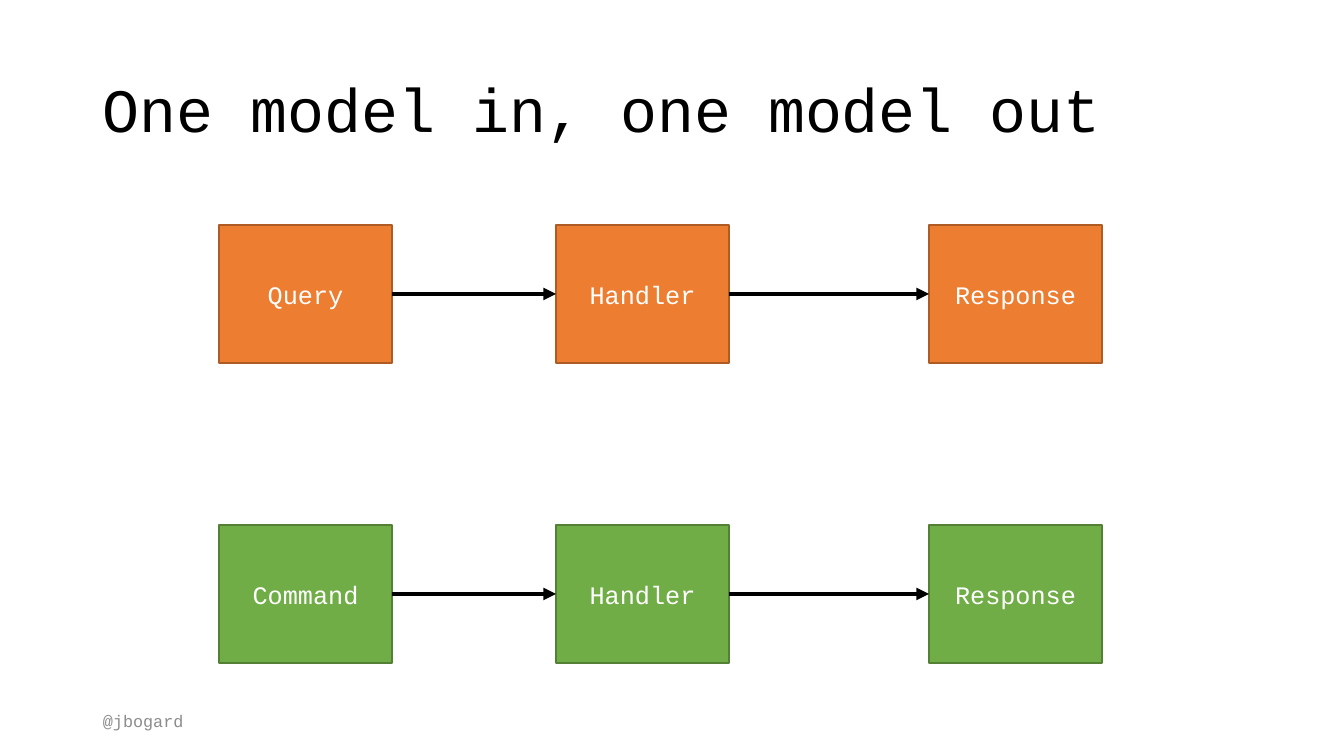
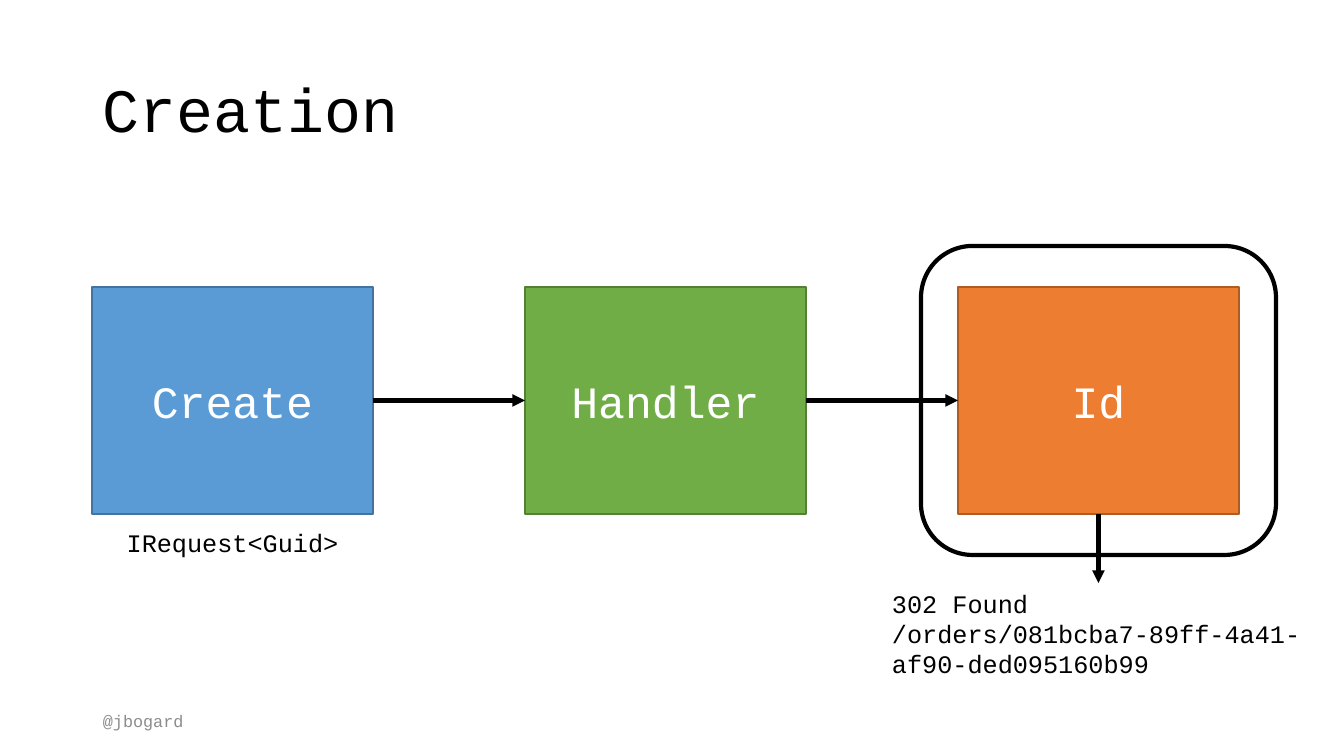
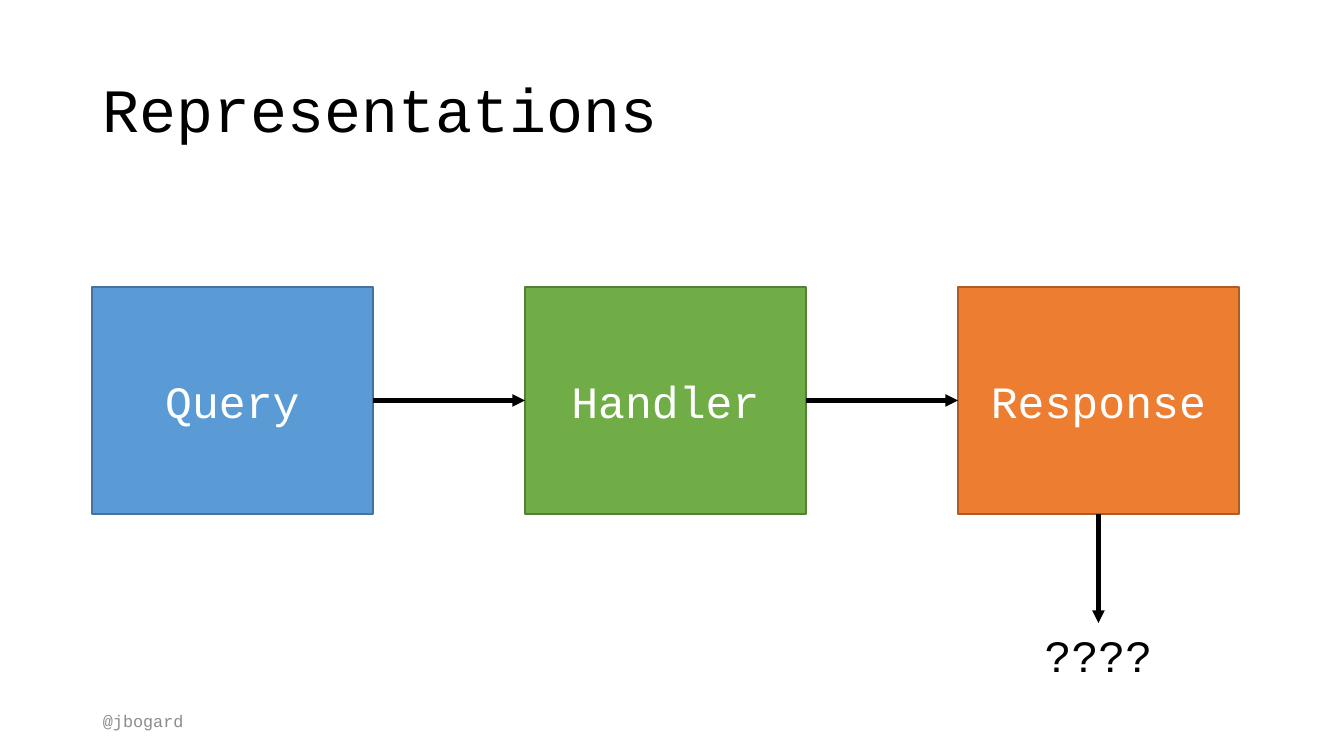
from itertools import pairwise

from lxml import etree
from pptx import Presentation
from pptx.dml.color import RGBColor
from pptx.enum.shapes import MSO_CONNECTOR, MSO_SHAPE
from pptx.enum.text import MSO_ANCHOR, MSO_AUTO_SIZE, PP_ALIGN
from pptx.oxml.ns import qn
from pptx.util import Emu, Pt

RECTANGLE = MSO_SHAPE.RECTANGLE
ROUNDED = MSO_SHAPE.ROUNDED_RECTANGLE
STRAIGHT = MSO_CONNECTOR.STRAIGHT
MIDDLE, TOP_ANCHOR = MSO_ANCHOR.MIDDLE, MSO_ANCHOR.TOP
LEFT_ALIGN, CENTER = PP_ALIGN.LEFT, PP_ALIGN.CENTER
GROW, FIXED = MSO_AUTO_SIZE.SHAPE_TO_FIT_TEXT, MSO_AUTO_SIZE.NONE
TOP, LEFT, BOTTOM, RIGHT = range(4)

BLACK = RGBColor(0x00, 0x00, 0x00)
WHITE = RGBColor(0xFF, 0xFF, 0xFF)
GRAY = RGBColor(0x8C, 0x8C, 0x8C)
ORANGE = RGBColor(0xED, 0x7D, 0x31)
ORANGE_EDGE = RGBColor(0xAF, 0x5C, 0x24)
GREEN = RGBColor(0x70, 0xAD, 0x47)
GREEN_EDGE = RGBColor(0x53, 0x80, 0x35)
BLUE = RGBColor(0x5B, 0x9B, 0xD5)
BLUE_EDGE = RGBColor(0x43, 0x73, 0x9E)
EDGES = {ORANGE: ORANGE_EDGE, GREEN: GREEN_EDGE, BLUE: BLUE_EDGE}

SLIDE_WIDTH, SLIDE_HEIGHT = 1344, 756
SCALE = 12192000 / SLIDE_WIDTH
FONT = "Courier New"
FOOTER = "@jbogard"


def px(*lengths):
    return [Emu(round(length * SCALE)) for length in lengths]


class Deck:
    def __init__(self):
        self.presentation = Presentation()
        width, height = px(SLIDE_WIDTH, SLIDE_HEIGHT)
        self.presentation.slide_width = width
        self.presentation.slide_height = height
        self.slide = None

    def start_slide(self, title):
        self.slide = self.presentation.slides.add_slide(
            self.presentation.slide_layouts[6])
        self.label(93, 40, 1159, 146, [title], 44, spacing=0.9, anchor=MIDDLE)
        self.label(93, 701, 302, 40, [FOOTER], 12, GRAY, anchor=MIDDLE)

    def fill_text(self, shape, lines, size, color, align, anchor, spacing=None):
        frame = shape.text_frame
        frame.word_wrap = True
        frame.vertical_anchor = anchor
        frame.text = "\n".join(lines)
        for paragraph in frame.paragraphs:
            paragraph.alignment = align
            paragraph.line_spacing = spacing
            for name, value in {"name": FONT, "size": Pt(size)}.items():
                setattr(paragraph.font, name, value)
            paragraph.font.color.rgb = color

    def label(self, left, top, width, height, lines, size, color=BLACK,
              align=LEFT_ALIGN, anchor=TOP_ANCHOR, spacing=None, fit=FIXED):
        shape = self.slide.shapes.add_textbox(*px(left, top, width, height))
        self.fill_text(shape, lines, size, color, align, anchor, spacing)
        shape.text_frame.auto_size = fit
        return shape

    def box(self, left, top, width, height, text, size, fill):
        shape = self.slide.shapes.add_shape(
            RECTANGLE, *px(left, top, width, height))
        shape.shadow.inherit = False
        shape.fill.solid()
        shape.fill.fore_color.rgb = fill
        self.outline(shape, EDGES[fill], 1)
        self.fill_text(shape, [text], size, WHITE, CENTER, MIDDLE)
        return shape

    def frame(self, left, top, width, height):
        shape = self.slide.shapes.add_shape(
            ROUNDED, *px(left, top, width, height))
        shape.shadow.inherit = False
        shape.fill.background()
        self.outline(shape, BLACK, 3)

    def outline(self, shape, color, width):
        shape.line.color.rgb = color
        shape.line.width = Pt(width)

    def arrow(self, source, source_side, target, target_side):
        connector = self.slide.shapes.add_connector(STRAIGHT, 0, 0, 0, 0)
        connector.begin_connect(source, source_side)
        connector.end_connect(target, target_side)
        self.outline(connector, BLACK, 3)
        etree.SubElement(connector.get_or_add_ln(), qn("a:tailEnd"),
                         type="triangle")
        etree.SubElement(connector.element.spPr, qn("a:effectLst"))

    def flow(self, lefts, top, width, height, texts, size, fills):
        boxes = [self.box(left, top, width, height, text, size, fill)
                 for left, text, fill in zip(lefts, texts, fills)]
        for source, target in pairwise(boxes):
            self.arrow(source, RIGHT, target, LEFT)
        return boxes

    def large_flow(self, texts):
        lefts = [92 + 433 * column for column in range(3)]
        return self.flow(lefts, 287, 281, 227, texts, 32,
                         [BLUE, GREEN, ORANGE])


def build_models(deck):
    deck.start_slide("One model in, one model out")
    for top, request, fill in [(225, "Query", ORANGE), (525, "Command", GREEN)]:
        deck.flow([219, 556, 929], top, 173, 138,
                  [request, "Handler", "Response"], 18, [fill] * 3)


def build_creation(deck):
    deck.start_slide("Creation")
    identifier = deck.large_flow(["Create", "Handler", "Id"])[-1]
    deck.frame(921, 246, 355, 309)
    deck.label(86, 522, 293, 40, ["IRequest<Guid>"], 18, align=CENTER, fit=GROW)
    redirect = deck.label(
        882, 583, 433, 102,
        ["302 Found", "/orders/081bcba7-89ff-4a41-af90-ded095160b99"],
        18, fit=GROW)
    deck.arrow(identifier, BOTTOM, redirect, TOP)


def build_representations(deck):
    deck.start_slide("Representations")
    response = deck.large_flow(["Query", "Handler", "Response"])[-1]
    unknown = deck.label(986, 623, 225, 65, ["????"], 32, align=CENTER, fit=GROW)
    deck.arrow(response, BOTTOM, unknown, TOP)


def main():
    deck = Deck()
    for build in (build_models, build_creation, build_representations):
        build(deck)
    deck.presentation.save("out.pptx")


if __name__ == "__main__":
    main()
